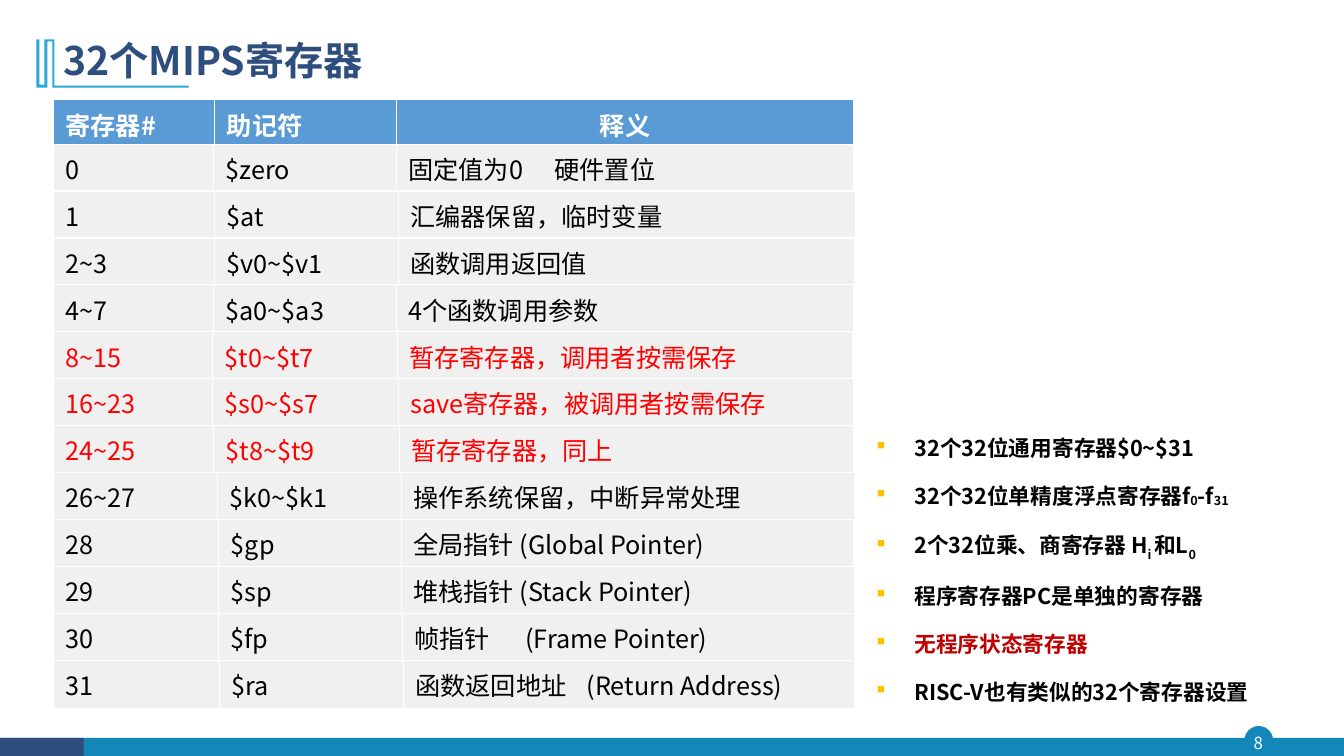
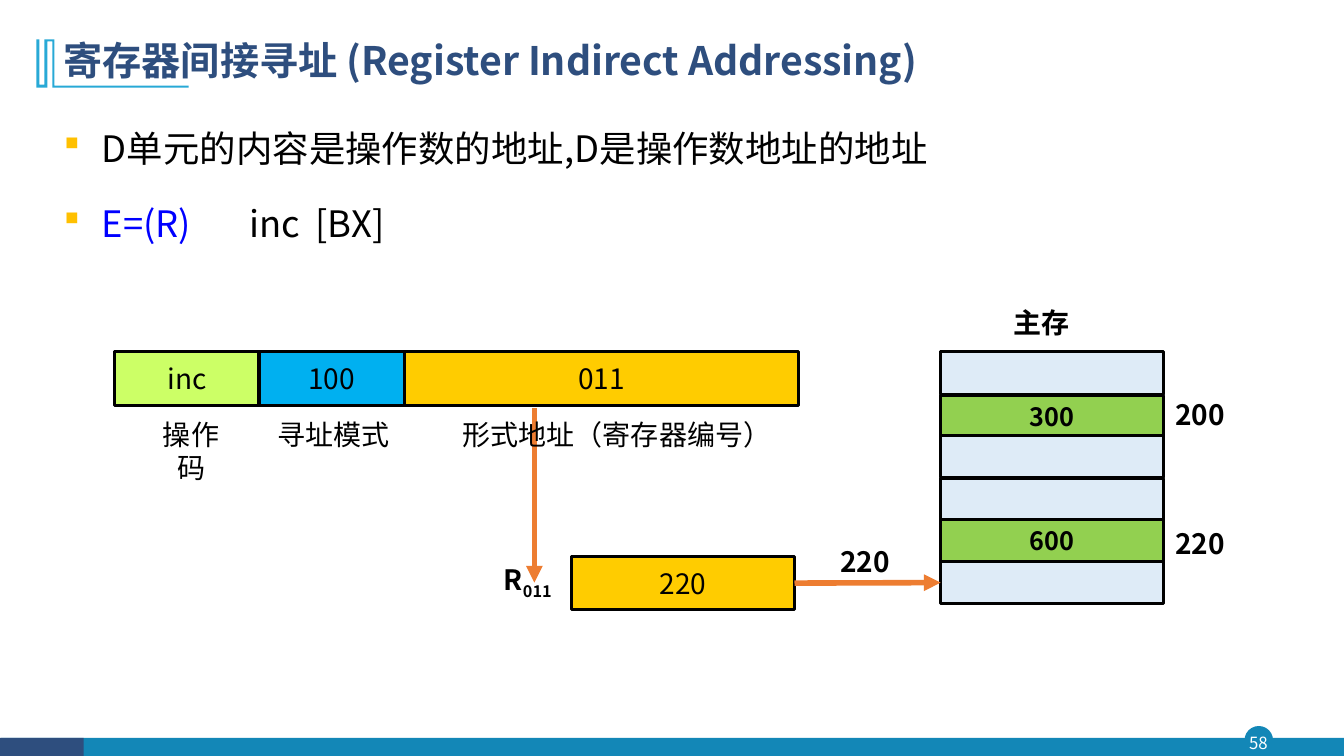
from lxml import etree
from pptx import Presentation
from pptx.dml.color import RGBColor
from pptx.enum.shapes import MSO_CONNECTOR, MSO_SHAPE
from pptx.enum.text import MSO_ANCHOR, MSO_AUTO_SIZE, PP_ALIGN
from pptx.oxml.ns import qn
from pptx.util import Inches, Pt

# Shared style
FONT = "Noto Sans CJK SC"
WHITE = RGBColor(0xFF, 0xFF, 0xFF)
BLACK = RGBColor(0x00, 0x00, 0x00)
TEAL = RGBColor(0x13, 0x87, 0xB7)
NAVY = RGBColor(0x2E, 0x4E, 0x7E)
SKY = RGBColor(0x28, 0xA9, 0xD6)
AMBER = RGBColor(0xFF, 0xC0, 0x00)
RED = RGBColor(0xFF, 0x00, 0x00)
DARK_RED = RGBColor(0xC0, 0x00, 0x00)
BLUE = RGBColor(0x00, 0x00, 0xFF)
HEADER_BLUE = RGBColor(0x5B, 0x9B, 0xD5)
ROW_GREY = RGBColor(0xF1, 0xF0, 0xF0)
ORANGE = RGBColor(0xED, 0x7D, 0x31)
LIME = RGBColor(0xCC, 0xFF, 0x66)
CYAN = RGBColor(0x00, 0xB0, 0xF0)
GOLD = RGBColor(0xFF, 0xCC, 0x00)
PALE_BLUE = RGBColor(0xDE, 0xEB, 0xF7)
GREEN = RGBColor(0x92, 0xD0, 0x50)

# Outline beside the title, in hundredths of an inch
TITLE_MARK = [
    (54, 39), (54, 85), (187, 85), (187, 87), (52, 87), (52, 41), (47, 41),
    (47, 87), (36, 87), (36, 39), (39, 39), (39, 84), (44, 84), (44, 39),
]

# Slide content: each register row has its texts and column widths
REGISTER_HEADER = ("寄存器#", "助记符", "释义")
REGISTERS = [
    (("0", "$zero", "固定值为0\t硬件置位"), (1.59, 1.81, 4.54)),
    (("1", "$at", "汇编器保留，临时变量"), (1.6, 1.82, 4.54)),
    (("2~3", "$v0~$v1", "函数调用返回值"), (1.6, 1.82, 4.53)),
    (("4~7", "$a0~$a3", "4个函数调用参数"), (1.59, 1.81, 4.54)),
    (("8~15", "$t0~$t7", "暂存寄存器，调用者按需保存"), (1.58, 1.83, 4.52)),
    (("16~23", "$s0~$s7", "save寄存器，被调用者按需保存"), (1.58, 1.84, 4.52)),
    (("24~25", "$t8~$t9", "暂存寄存器，同上"), (1.59, 1.84, 4.51)),
    (("26~27", "$k0~$k1", "操作系统保留，中断异常处理"), (1.63, 1.82, 4.5)),
    (("28", "$gp", "全局指针 (Global Pointer)"), (1.64, 1.81, 4.49)),
    (("29", "$sp", "堆栈指针 (Stack Pointer)"), (1.64, 1.81, 4.5)),
    (("30", "$fp", "帧指针\t(Frame Pointer)"), (1.64, 1.82, 4.49)),
    (("31", "$ra", "函数返回地址\t(Return Address)"), (1.65, 1.82, 4.48)),
]
RED_REGISTERS = {"8~15", "16~23", "24~25"}
MEANING_TABS = {"0": 1.45, "30": 1.1, "31": 1.7}

REGISTER_NOTES = [
    "32个32位通用寄存器$0~$31",
    [("32个32位单精度浮点寄存器f", {}), ("0", {"baseline": -5}), ("-f", {}),
     ("31", {"baseline": -5})],
    [("2个32位乘、商寄存器 H", {}), ("i ", {"baseline": -25}), ("和L", {}),
     ("0", {"baseline": -25})],
    "程序寄存器PC是单独的寄存器",
    [("无程序状态寄存器", {"color": DARK_RED})],
    "RISC-V也有类似的32个寄存器设置",
]
ADDRESSING_NOTES = [
    "D单元的内容是操作数的地址,D是操作数地址的地址",
    [("E=(R)\t", {"color": BLUE}), ("inc\t[BX]", {})],
]
MEMORY_CELLS = [(3.49, ""), (3.92, "300"), (4.32, ""), (4.75, ""), (5.15, "600"), (5.57, "")]


def add_run(paragraph, text, size=18, color=BLACK, bold=False, baseline=0):
    run = paragraph.add_run()
    run.text = text
    font = run.font
    font.size, font.bold, font.name = Pt(size), bold, FONT
    font.color.rgb = color
    properties = run._r.get_or_add_rPr()
    etree.SubElement(properties, qn("a:ea"), typeface=FONT)
    if baseline:
        properties.set("baseline", str(baseline * 1000))


def write(paragraph, content, align=PP_ALIGN.LEFT, spacing=None, before=0, **style):
    """Write a string, or a list of (text, changed style) runs."""
    paragraph.alignment = align
    paragraph.space_before = Pt(before)
    if spacing:
        paragraph.line_spacing = spacing
    runs = [(content, {})] if isinstance(content, str) else content
    for text, changes in runs:
        add_run(paragraph, text, **{**style, **changes})


def set_tabs(paragraph, positions):
    tabs = etree.SubElement(paragraph._p.get_or_add_pPr(), qn("a:tabLst"))
    for position in positions:
        etree.SubElement(tabs, qn("a:tab"), pos=str(Inches(position)), algn="l")


def set_bullet(paragraph):
    """Give a square bullet, which is the section sign in Wingdings."""
    properties = paragraph._p.get_or_add_pPr()
    properties.set("marL", str(Inches(0.38)))
    properties.set("indent", str(-Inches(0.38)))
    color = etree.SubElement(properties, qn("a:buClr"))
    etree.SubElement(color, qn("a:srgbClr"), val=str(AMBER))
    etree.SubElement(properties, qn("a:buFont"), typeface="Wingdings", charset="2")
    etree.SubElement(properties, qn("a:buChar"), char="§")


def place(shape, left, top, width, height):
    shape.left, shape.top = Inches(left), Inches(top)
    shape.width, shape.height = Inches(width), Inches(height)


def add_box(slide, left, top, width, height, fill, text="", line=None, line_width=1,
            kind=MSO_SHAPE.RECTANGLE, **style):
    shape = slide.shapes.add_shape(
        kind, Inches(left), Inches(top), Inches(width), Inches(height))
    shape.shadow.inherit = False
    shape.fill.solid()
    shape.fill.fore_color.rgb = fill
    if line is None:
        shape.line.fill.background()
    else:
        shape.line.color.rgb = line
        shape.line.width = Pt(line_width)
    if text:
        shape.text_frame.word_wrap = False
        shape.text_frame.vertical_anchor = MSO_ANCHOR.MIDDLE
        write(shape.text_frame.paragraphs[0], text, align=PP_ALIGN.CENTER, **style)
    return shape


def add_label(slide, left, top, width, text, height=0.44, size=20, **style):
    label = slide.shapes.add_textbox(
        Inches(left), Inches(top), Inches(width), Inches(height))
    label.text_frame.word_wrap = False
    label.text_frame.auto_size = MSO_AUTO_SIZE.SHAPE_TO_FIT_TEXT
    write(label.text_frame.paragraphs[0], text, align=PP_ALIGN.CENTER, size=size, **style)
    return label


def add_arrow(slide, start=(0, 0), end=(0, 0)):
    points = [Inches(value) for value in (*start, *end)]
    arrow = slide.shapes.add_connector(MSO_CONNECTOR.STRAIGHT, *points)
    arrow.line.color.rgb = ORANGE
    arrow.line.width = Pt(4)
    etree.SubElement(arrow.line._get_or_add_ln(), qn("a:tailEnd"), type="triangle")
    etree.SubElement(arrow._element.spPr, qn("a:effectLst"))
    return arrow


def decorate_layout(layout, slide):
    """Build the footer and the title mark, then move them to the layout."""
    outline = slide.shapes.build_freeform(*TITLE_MARK[0], scale=Inches(1) / 100)
    outline.add_line_segments(TITLE_MARK[1:], close=True)
    mark = outline.convert_to_shape()
    mark.shadow.inherit = False
    mark.fill.solid()
    mark.fill.fore_color.rgb = SKY
    mark.line.fill.background()
    parts = [
        add_box(slide, 12.35, 7.21, 0.27, 0.27, TEAL, line=TEAL, kind=MSO_SHAPE.OVAL),
        add_box(slide, 0.01, 7.32, 13.32, 0.19, TEAL),
        add_box(slide, 0, 7.32, 0.83, 0.19, NAVY),
        mark,
    ]
    for part in parts:
        layout.shapes.element.append(part._element)


def start_slide(slide, title, title_width, number):
    shape = slide.shapes.title
    place(shape, 0.53, 0.28, title_width, 0.68)
    frame = shape.text_frame
    frame.auto_size = MSO_AUTO_SIZE.NONE
    frame.vertical_anchor = MSO_ANCHOR.MIDDLE
    write(frame.paragraphs[0], title, spacing=0.9, size=28, color=NAVY, bold=True)

    page = add_label(slide, 12.32, 7.21, 0.32, number, height=0.31, size=12, color=WHITE)
    frame = page.text_frame
    frame.auto_size = MSO_AUTO_SIZE.NONE
    frame.vertical_anchor = MSO_ANCHOR.MIDDLE
    frame.margin_left = frame.margin_right = frame.margin_top = frame.margin_bottom = 0


def fill_body(slide, area, items, spacing, tabs=(), **style):
    body = slide.placeholders[1]
    place(body, *area)
    frame = body.text_frame
    frame.auto_size = MSO_AUTO_SIZE.NONE
    for index, item in enumerate(items):
        paragraph = frame.add_paragraph() if index else frame.paragraphs[0]
        set_bullet(paragraph)
        if tabs:
            set_tabs(paragraph, tabs)
        write(paragraph, item, align=PP_ALIGN.JUSTIFY, spacing=spacing,
              before=10 if index else 0, **style)


def fill_cell(cell, text, fill, tab=None, **style):
    properties = cell._tc.get_or_add_tcPr()
    for side, width in (("a:lnL", 1), ("a:lnR", 1), ("a:lnT", 1), ("a:lnB", 3)):
        line = etree.SubElement(properties, qn(side), w=str(Pt(width)))
        solid = etree.SubElement(line, qn("a:solidFill"))
        etree.SubElement(solid, qn("a:srgbClr"), val=str(WHITE))
    cell.fill.solid()
    cell.fill.fore_color.rgb = fill
    cell.margin_left = cell.margin_right = Inches(0.12)
    cell.margin_top = cell.margin_bottom = Inches(0.06)
    paragraph = cell.text_frame.paragraphs[0]
    if tab:
        set_tabs(paragraph, [tab])
    write(paragraph, text, **style)


def add_register_row(slide, top, texts, widths, fill, last_align=PP_ALIGN.LEFT, **style):
    """Add one line of the register list as a table of its own."""
    table = slide.shapes.add_table(
        1, len(widths), Inches(0.53), Inches(top), Inches(sum(widths)), Inches(0.49)).table
    table.first_row = table.horz_banding = False
    for index, (text, width) in enumerate(zip(texts, widths)):
        table.columns[index].width = Inches(width)
        is_last = index == len(widths) - 1
        fill_cell(table.cell(0, index), text, fill,
                  tab=MEANING_TABS.get(texts[0]) if is_last else None,
                  align=last_align if is_last else PP_ALIGN.LEFT, **style)


def add_register_list(slide):
    add_register_row(slide, 0.99, REGISTER_HEADER, (1.6, 1.8, 4.54), HEADER_BLUE,
                     last_align=PP_ALIGN.CENTER, color=WHITE, bold=True)
    first_top, last_top = 1.43, 6.55
    step = (last_top - first_top) / (len(REGISTERS) - 1)
    for index, (texts, widths) in enumerate(REGISTERS):
        add_register_row(slide, first_top + index * step, texts, widths, ROW_GREY,
                         color=RED if texts[0] in RED_REGISTERS else BLACK)


def add_instruction(slide):
    left = 1.14
    for text, width, fill in (("inc", 1.43, LIME), ("100", 1.44, CYAN), ("011", 3.91, GOLD)):
        add_box(slide, left, 3.49, width, 0.53, fill, text, BLACK, 2.25, size=20)
        left += width
    for caption, left, width in (("操作码", 1.38, 1.03), ("寻址模式", 2.65, 1.32),
                                 ("形式地址（寄存器编号）", 4.23, 3.78)):
        label = add_label(slide, left, 4.09, width, caption)
    label.text_frame.word_wrap = True


def add_memory(slide):
    """Draw the memory column and return its last cell."""
    add_label(slide, 9.95, 2.98, 0.76, "主存", bold=True)
    for top, value in MEMORY_CELLS:
        cell = add_box(slide, 9.33, top, 2.21, 0.42, GREEN if value else PALE_BLUE,
                       value, BLACK, 2, bold=True)
    for address, top in (("200", 3.89), ("220", 5.17)):
        add_label(slide, 11.54, top, 0.72, address, bold=True)
    return cell


def add_addressing_diagram(slide):
    add_arrow(slide, (5.3, 4.05), (5.3, 5.78))
    add_instruction(slide)
    last_cell = add_memory(slide)
    register = add_box(slide, 5.67, 5.52, 2.21, 0.53, GOLD, "220", BLACK, 2.25, size=20)
    add_label(slide, 4.86, 5.53, 0.75, [("R", {}), ("011", {"baseline": -25})], bold=True)
    pointer = add_arrow(slide)
    pointer.begin_connect(register, 3)
    pointer.end_connect(last_cell, 1)
    add_label(slide, 8.22, 5.35, 0.72, "220", bold=True)


def main():
    presentation = Presentation()
    presentation.slide_width, presentation.slide_height = Inches(13.33), Inches(7.5)
    layout = presentation.slide_layouts[1]

    # Register list
    slide = presentation.slides.add_slide(layout)
    decorate_layout(layout, slide)
    start_slide(slide, "32个MIPS寄存器", 4.71, "8")
    add_register_list(slide)
    fill_body(slide, (8.59, 4.19, 4.32, 2.93), REGISTER_NOTES, 1.3, size=15.5, bold=True)

    # Register indirect addressing
    slide = presentation.slides.add_slide(layout)
    start_slide(slide, "寄存器间接寻址 (Register Indirect Addressing)", 11.5, "58")
    fill_body(slide, (0.53, 1.03, 11.5, 1.74), ADDRESSING_NOTES, 1.4,
              tabs=(1.84, 2.5), size=26)
    add_addressing_diagram(slide)

    presentation.save("out.pptx")


if __name__ == "__main__":
    main()
